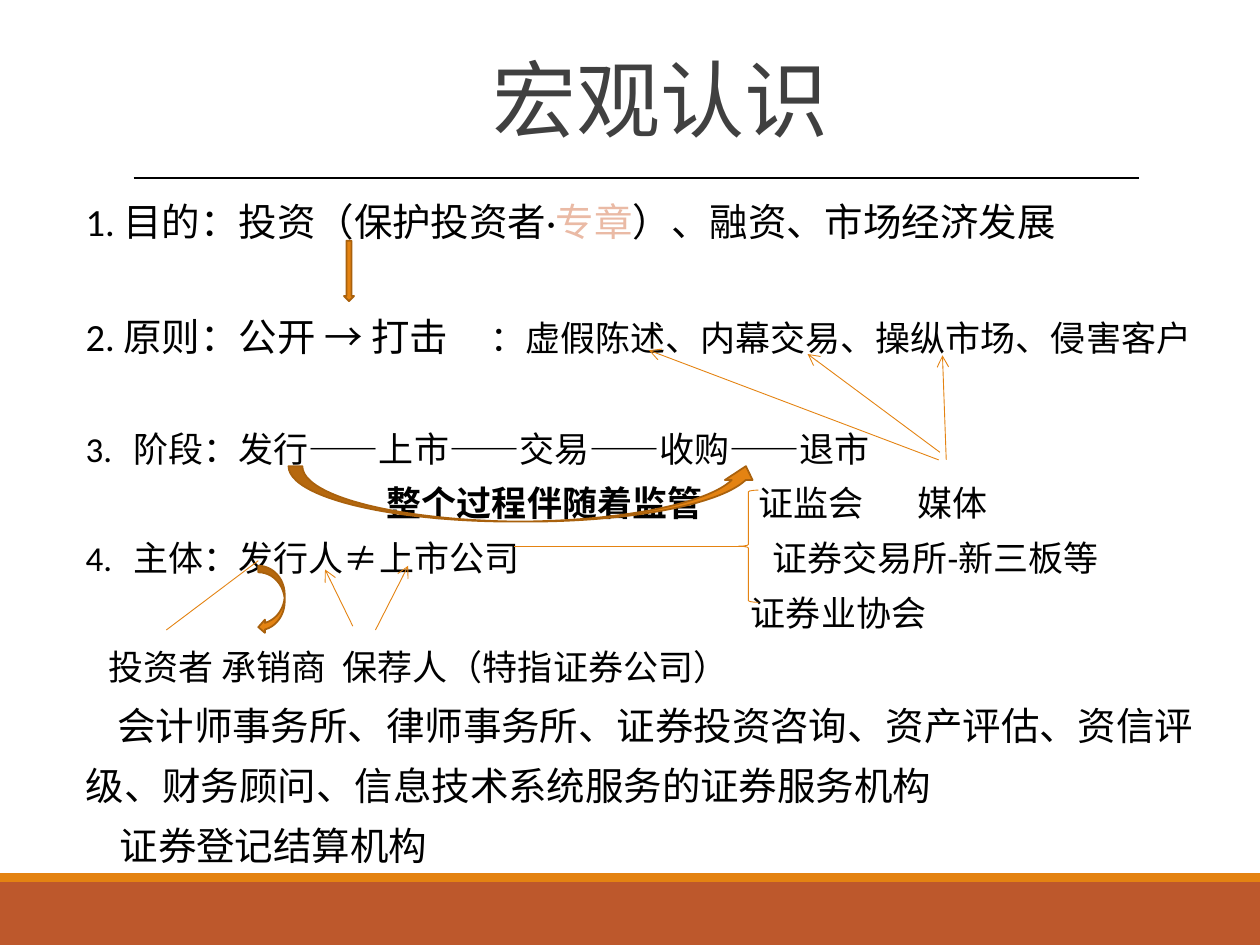
from dataclasses import dataclass

from lxml import etree
from pptx import Presentation
from pptx.dml.color import RGBColor
from pptx.enum.shapes import MSO_CONNECTOR, MSO_SHAPE
from pptx.enum.text import MSO_ANCHOR, MSO_AUTO_SIZE, PP_ALIGN
from pptx.oxml.ns import qn
from pptx.util import Inches, Pt

STRAIGHT = MSO_CONNECTOR.STRAIGHT
RECTANGLE = MSO_SHAPE.RECTANGLE
DOWN_ARROW = MSO_SHAPE.DOWN_ARROW
CURVED_UP_ARROW = MSO_SHAPE.CURVED_UP_ARROW
CURVED_LEFT_ARROW = MSO_SHAPE.CURVED_LEFT_ARROW
LEFT_BRACE = MSO_SHAPE.LEFT_BRACE
TOP = MSO_ANCHOR.TOP
NO_FIT, GROW = MSO_AUTO_SIZE.NONE, MSO_AUTO_SIZE.SHAPE_TO_FIT_TEXT
CENTER, LEFT = PP_ALIGN.CENTER, PP_ALIGN.LEFT


@dataclass(frozen=True)
class Theme:
    font: str = "Calibri"
    symbol_font: str = "Arial"
    title_color: str = "404040"
    text_color: str = "000000"
    highlight: str = "EABAA5"
    footer: str = "BD582C"
    accent: str = "E48312"
    accent_edge: str = "A9610D"
    title_size: int = 48
    large: int = 22
    normal: int = 20
    hairline: float = 0.5
    edge: float = 1
    text_outline: float = 1.75


def apply(target, values):
    for name, value in values.items():
        setattr(target, name, value)


def rgb(color):
    return RGBColor.from_string(color)


def clear_body_indent(master):
    """Drop the hanging indent of first-level body text, which overrides custom tab stops."""
    level = master._element.find(".//" + qn("p:bodyStyle") + "/" + qn("a:lvl1pPr"))
    level.attrib.pop("indent", None)
    level.set("marL", "0")


class SlideBuilder:
    def __init__(self, slide, theme):
        self.slide, self.theme = slide, theme

    def place(self, shape, box):
        apply(shape, dict(zip(("left", "top", "width", "height"), map(Inches, box))))

    def run(self, paragraph, text, size, color=None, bold=False, font=None, outlined=False):
        run = paragraph.add_run()
        run.text = text
        apply(run.font, {"name": font or self.theme.font, "size": Pt(size), "bold": bold})
        run.font.color.rgb = rgb(color or self.theme.text_color)
        if outlined:
            outline = etree.Element(qn("a:ln"), w=str(Pt(self.theme.text_outline)))
            fill = etree.SubElement(outline, qn("a:solidFill"))
            etree.SubElement(fill, qn("a:srgbClr"), val=self.theme.footer)
            run.font._element.insert(0, outline)

    def title(self, text, box):
        title = self.slide.shapes.title
        self.place(title, box)
        apply(title.text_frame, {"auto_size": NO_FIT, "word_wrap": True, "vertical_anchor": TOP})
        paragraph = title.text_frame.paragraphs[0]
        apply(paragraph, {"alignment": CENTER, "line_spacing": 0.85})
        self.run(paragraph, text, self.theme.title_size, self.theme.title_color)

    def body(self, lines, box):
        """Each line is a dict: runs, and optionally tabs, marL, indent (inches), before (points)."""
        body = self.slide.placeholders[1]
        self.place(body, box)
        frame = body.text_frame
        apply(frame, {"auto_size": GROW, "word_wrap": True, "vertical_anchor": TOP})
        for index, line in enumerate(lines):
            paragraph = frame.add_paragraph() if index else frame.paragraphs[0]
            properties = paragraph._p.get_or_add_pPr()
            for name in ("marL", "indent"):
                if name in line:
                    properties.set(name, str(Inches(line[name])))
            etree.SubElement(properties, qn("a:buNone"))
            if "tabs" in line:
                stops = etree.SubElement(properties, qn("a:tabLst"))
                for stop in line["tabs"]:
                    etree.SubElement(stops, qn("a:tab"), pos=str(Inches(stop)), algn="l")
            apply(paragraph, {"alignment": LEFT, "line_spacing": 1.3,
                              "space_before": Pt(line.get("before", 0)), "space_after": Pt(0)})
            for text, size, style in line["runs"]:
                self.run(paragraph, text, size, **style)

    def shape(self, kind, box, fill=None, edge=None, width=1):
        shape = self.slide.shapes.add_shape(kind, *map(Inches, box))
        shape.shadow.inherit = False
        if fill:
            shape.fill.solid()
            shape.fill.fore_color.rgb = rgb(fill)
        else:
            shape.fill.background()
        if edge:
            shape.line.color.rgb = rgb(edge)
            shape.line.width = Pt(width)
        else:
            shape.line.fill.background()

    def line(self, start, end, color, width, arrow=False):
        line = self.slide.shapes.add_connector(STRAIGHT, *map(Inches, start + end))
        line.line.color.rgb = rgb(color)
        line.line.width = Pt(width)
        if arrow:
            etree.SubElement(line.line._get_or_add_ln(), qn("a:tailEnd"), type="arrow")
        etree.SubElement(line._element.spPr, qn("a:effectLst"))


def body_lines(theme):
    large, normal = theme.large, theme.normal
    symbol = {"font": theme.symbol_font}
    section_gap = 31.6
    return [
        {"runs": [("1. 目的：投资（保护投资者·", large, {}),
                  ("专章", large, {"color": theme.highlight, "outlined": True}),
                  ("）、融资、市场经济发展", large, {})]},
        {"before": section_gap, "tabs": [3.21],
         "runs": [("2. 原则：公开 ", large, {}), ("→", large, symbol), (" 打击\t", large, {}),
                  ("：虚假陈述、内幕交易、操纵市场、侵害客户", normal, {})]},
        {"before": section_gap, "tabs": [0.38],
         "runs": [("3.\t阶段：发行——上市——交易——收购——退市", normal, {})]},
        {"tabs": [2.39, 5.34, 6.6],
         "runs": [("\t整个过程伴随着监管", normal, {"bold": True}),
                  ("\t证监会\t媒体", normal, {})]},
        {"tabs": [0.38, 5.45],
         "runs": [("4.\t主体：发行人", normal, {}), ("≠", normal, symbol),
                  ("上市公司\t证券交易所-新三板等", normal, {})]},
        {"marL": 5.28, "runs": [("证券业协会", normal, {})]},
        {"tabs": [0.18, 2.04],
         "runs": [("\t投资者 承销商\t保荐人（特指证券公司）", normal, {})]},
        {"indent": 0.25,
         "runs": [("会计师事务所、律师事务所、证券投资咨询、资产评估、资信评级、"
                   "财务顾问、信息技术系统服务的证券服务机构", large, {})]},
        {"indent": 0.27, "runs": [("证券登记结算机构", large, {})]},
    ]


def main():
    presentation = Presentation()
    apply(presentation, {"slide_width": Inches(10), "slide_height": Inches(7.5)})
    clear_body_indent(presentation.slide_master)
    theme = Theme()
    builder = SlideBuilder(presentation.slides.add_slide(presentation.slide_layouts[1]), theme)

    builder.shape(RECTANGLE, (0, 7, 10, 0.5), theme.footer)
    builder.shape(RECTANGLE, (0, 6.93, 10, 0.07), theme.accent)
    builder.line((1.06, 1.41), (9.04, 1.41), theme.text_color, theme.edge)
    builder.title("宏观认识", (0.74, 0.45, 9, 0.97))
    builder.body(body_lines(theme), (0.58, 1.41, 9.03, 5.53))

    for kind, box in (
        (CURVED_UP_ARROW, (2.29, 3.7, 3.74, 0.44)),
        (DOWN_ARROW, (2.73, 1.91, 0.08, 0.48)),
        (CURVED_LEFT_ARROW, (2.05, 4.49, 0.21, 0.54)),
    ):
        builder.shape(kind, box, theme.accent, theme.accent_edge, theme.edge)
    builder.shape(LEFT_BRACE, (5.86, 3.89, 0.16, 0.89), edge=theme.accent, width=theme.hairline)

    issuer_to_investor = ((2.05, 4.45), (1.32, 5))
    company_to_regulators = ((4.08, 4.34), (5.9, 4.34))
    for start, end in (issuer_to_investor, company_to_regulators):
        builder.line(start, end, theme.accent, theme.hairline)

    sponsor_arrows = (((2.8, 4.97), (2.58, 4.52)), ((2.98, 5), (3.24, 4.49)))
    media_arrows = (((7.51, 3.65), (7.48, 2.82)), ((7.46, 3.59), (6.41, 2.81)),
                    ((7.45, 3.65), (5.15, 2.78)))
    for start, end in sponsor_arrows + media_arrows:
        builder.line(start, end, theme.accent, theme.hairline, arrow=True)

    presentation.save("out.pptx")


if __name__ == "__main__":
    main()
